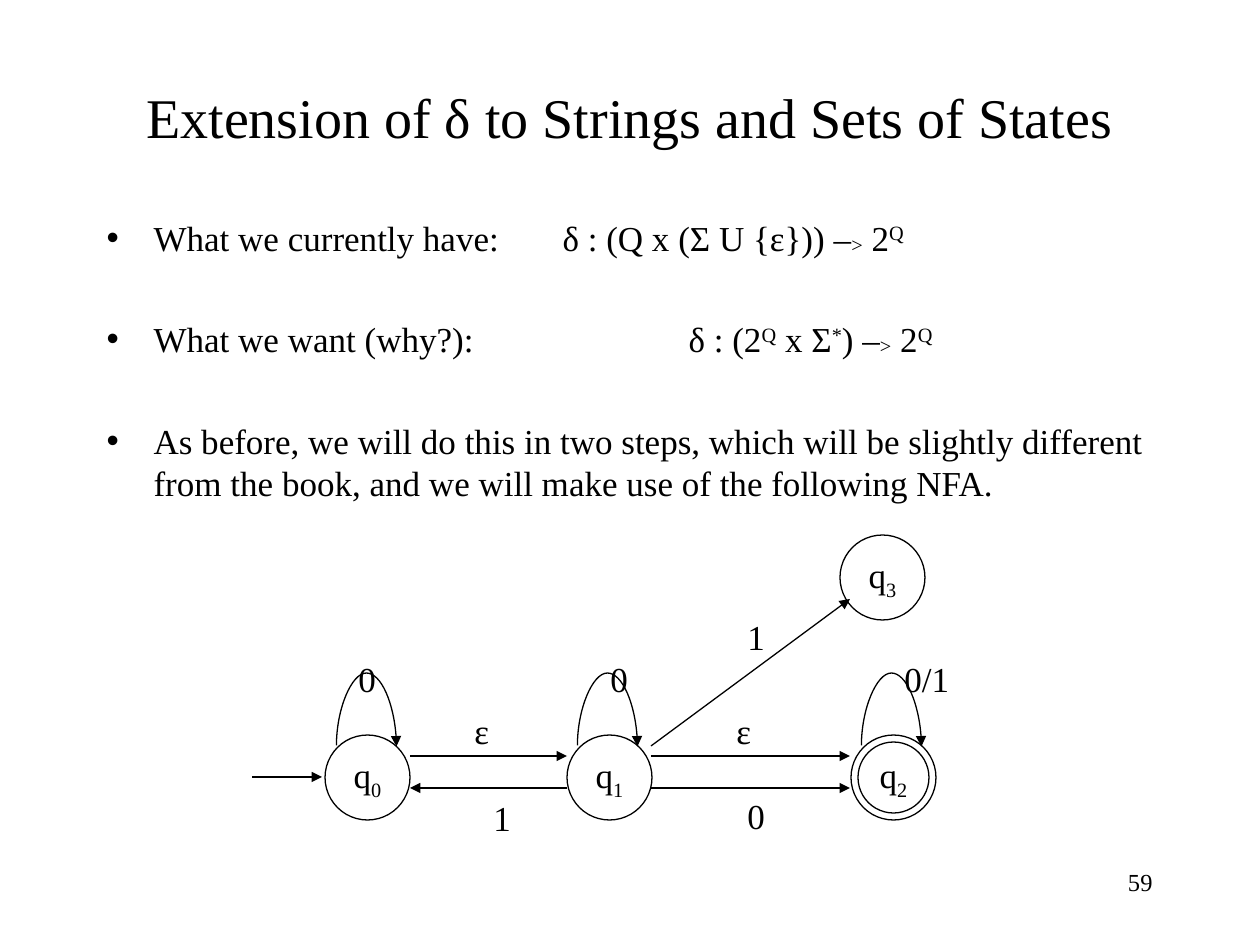
from lxml.etree import SubElement
from pptx import Presentation
from pptx.dml.color import RGBColor as RGB
from pptx.enum.shapes import MSO_CONNECTOR as CONN, MSO_SHAPE as SHAPE
from pptx.enum.text import MSO_ANCHOR as ANCHOR, MSO_AUTO_SIZE as FIT, PP_ALIGN as ALIGN
from pptx.oxml.ns import qn
from pptx.util import Pt

SCALE = 914400 / 126
COLORS = {"ink": "000000"}
INK = RGB.from_string(COLORS["ink"])
FONT = "Times New Roman"
SIZE = 20
LINE = 0.75
STATE = 85  # diameter of a state circle
LOOP_W, LOOP_H, LOOP_Y = 60, 73, 746
INDENT = 47
TABS = (456, 582)
SUP, SUB, LOW = 30, -25, -2  # baseline shifts in percent


def px(n):
    return round(n * SCALE)


def set_all(obj, values):
    for name, value in values.items():
        setattr(obj, name, value)


def add_runs(p, runs, size=SIZE):
    """Write (text, baseline shift) pairs into a paragraph."""
    for text, shift in runs:
        r = p.add_run()
        r.text = text
        set_all(r.font, {"name": FONT, "size": Pt(size)})
        r.font.color.rgb = INK
        if shift:
            r._r.get_or_add_rPr().set("baseline", str(shift * 1000))


def place(sp, x, y, w, h):
    set_all(sp, {"left": px(x), "top": px(y), "width": px(w), "height": px(h)})


def add_title(slide, text):
    sp = slide.shapes.title
    place(sp, 94, 53, 1072, 126)
    tf = sp.text_frame
    set_all(tf, {"vertical_anchor": ANCHOR.MIDDLE, "auto_size": FIT.NONE})
    p = tf.paragraphs[0]
    p.alignment = ALIGN.CENTER
    add_runs(p, [(text, 0)], 32)


def format_bullet(p):
    pPr = p._p.get_or_add_pPr()
    pPr.set("marL", str(px(INDENT)))
    pPr.set("indent", str(-px(INDENT)))
    color = SubElement(pPr, qn("a:buClr"))
    SubElement(color, qn("a:srgbClr"), val=COLORS["ink"])
    SubElement(pPr, qn("a:buChar"), char="•")
    tabs = SubElement(pPr, qn("a:tabLst"))
    for tab in TABS:
        SubElement(tabs, qn("a:tab"), pos=str(px(tab)), algn="l")


def add_bullets(slide, items):
    sp = slide.placeholders[1]
    place(sp, 94, 210, 1072, 693)
    tf = sp.text_frame
    tf.auto_size = FIT.NONE
    for i, runs in enumerate(items):
        p = tf.paragraphs[0] if i == 0 else tf.add_paragraph()
        format_bullet(p)
        p.space_before = Pt(34 if i else 0)
        add_runs(p, runs)


def add_label(shapes, text, x, y, w=43, h=55, size=SIZE, align=ALIGN.LEFT):
    tf = shapes.add_textbox(px(x), px(y), px(w), px(h)).text_frame
    set_all(tf, {"word_wrap": True, "auto_size": FIT.NONE})
    p = tf.paragraphs[0]
    p.alignment = align
    add_runs(p, [(text, 0)], size)


def add_circle(shapes, x, y, size, index=None):
    sp = shapes.add_shape(SHAPE.OVAL, px(x), px(y), px(size), px(size))
    sp.shadow.inherit = False
    sp.fill.background()
    sp.line.color.rgb = INK
    sp.line.width = Pt(LINE)
    if index is not None:
        tf = sp.text_frame
        set_all(tf, {"word_wrap": False, "vertical_anchor": ANCHOR.MIDDLE})
        p = tf.paragraphs[0]
        p.alignment = ALIGN.CENTER
        add_runs(p, [("q", 0), (str(index), SUB)])


def add_arrow(shapes, x1, y1, x2, y2, kind=CONN.STRAIGHT):
    cx = shapes.add_connector(kind, px(x1), px(y1), px(x2), px(y2))
    cx.line.color.rgb = INK
    cx.line.width = Pt(LINE)
    SubElement(cx.line._get_or_add_ln(), qn("a:tailEnd"), type="triangle")
    SubElement(cx._element.spPr, qn("a:effectLst"))
    return cx


def add_loop(shapes, x):
    """Self-transition: a curve turned so that it bulges upwards."""
    mid = x + LOOP_W // 2
    cx = add_arrow(shapes, mid + 1, LOOP_Y - LOOP_W // 2,
                   mid, LOOP_Y + LOOP_W // 2, CONN.CURVE)
    spPr = cx._element.spPr
    spPr.find(qn("a:xfrm")).set("rot", str(270 * 60000))
    guides = spPr.find(qn("a:prstGeom")).find(qn("a:avLst"))
    SubElement(guides, qn("a:gd"), name="adj1", fmla=f"val {-LOOP_H * 100000}")


def add_automaton(slide):
    shapes = slide.shapes.add_group_shape().shapes
    # States, the accepting one with a double ring
    for index, x, y in ((0, 325, 735), (1, 567, 735), (3, 840, 535)):
        add_circle(shapes, x, y, STATE, index)
    add_circle(shapes, 858, 742, 71, 2)
    add_circle(shapes, 851, 735, STATE)
    # Transitions
    for ends in ((252, 777, 322, 777),
                 (410, 756, 567, 756), (567, 788, 410, 788),
                 (651, 756, 850, 756), (651, 788, 850, 788),
                 (651, 746, 850, 599)):
        add_arrow(shapes, *ends)
    for x in (336, 577, 861):
        add_loop(shapes, x)
    # Transition symbols
    for text, x, y in (("0", 346, 651), ("0", 598, 651),
                       ("ε", 462, 703), ("ε", 724, 703),
                       ("1", 481, 790), ("0", 735, 788), ("1", 735, 609)):
        add_label(shapes, text, x, y)
    add_label(shapes, "0/1", 892, 651, w=70)


def main():
    prs = Presentation()
    set_all(prs, {"slide_width": px(1260), "slide_height": px(945)})
    slide = prs.slides.add_slide(prs.slide_layouts[1])
    add_title(slide, "Extension of δ to Strings and Sets of States")
    arrow_to_power_set = [(">", LOW), (" 2", 0), ("Q", SUP)]
    add_bullets(slide, [
        [("What we currently have:\tδ : (Q x (Σ U {ε})) –", 0), *arrow_to_power_set],
        [("What we want (why?):\t\tδ : (2", 0), ("Q", SUP), (" x Σ", 0), ("*", SUP),
         (") –", 0), *arrow_to_power_set],
        [("As before, we will do this in two steps, which will be slightly different "
          "from the book, and we will make use of the following NFA.", 0)],
    ])
    add_automaton(slide)
    # Slide number
    add_label(slide.shapes, "59", 903, 861, w=262, h=63, size=14, align=ALIGN.RIGHT)
    prs.save("out.pptx")


if __name__ == "__main__":
    main()
